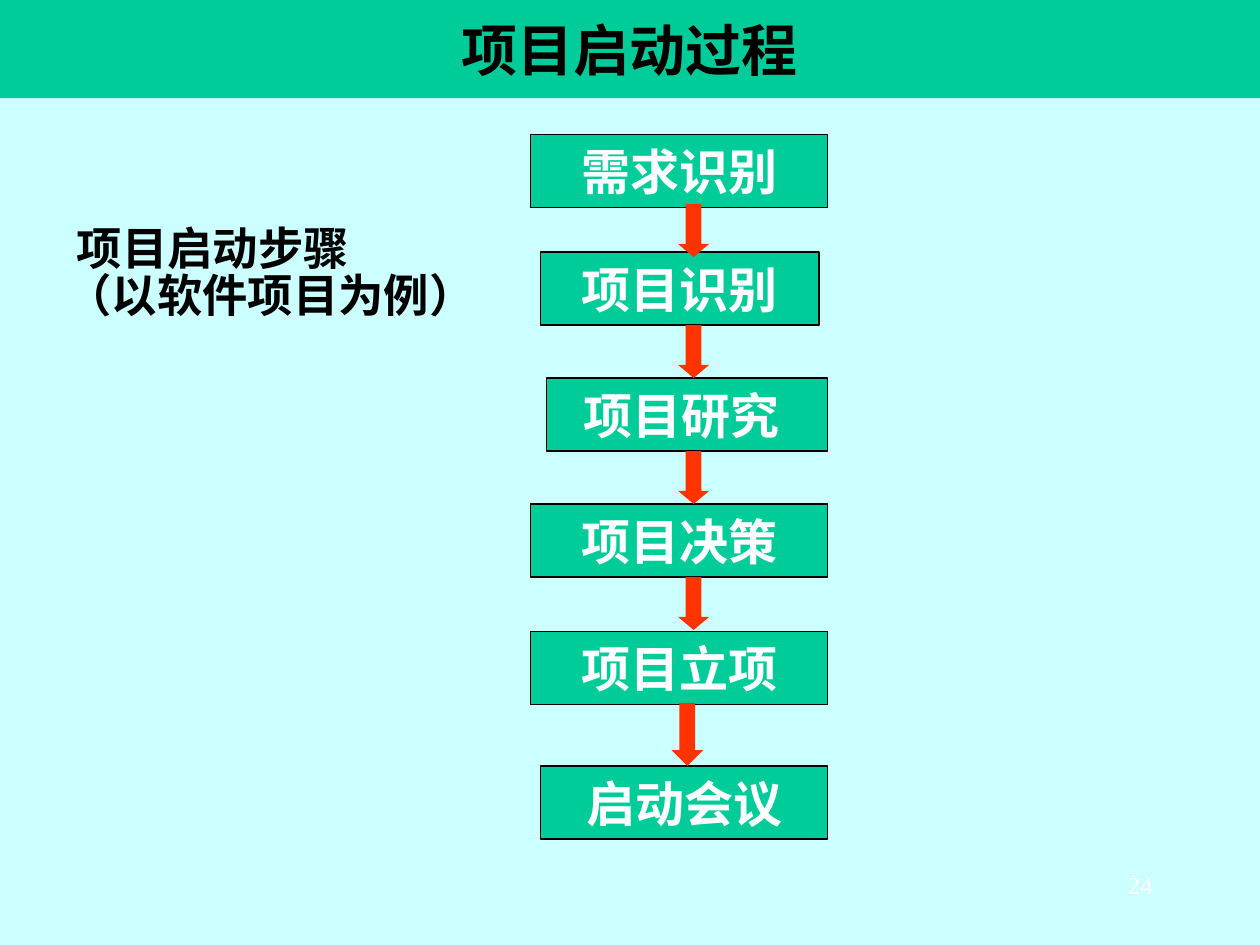
from pptx import Presentation
from pptx.dml.color import RGBColor
from pptx.enum import shapes, text
from pptx.oxml import parse_xml
from pptx.oxml.ns import nsdecls
from pptx.util import Inches, Pt

# Content
TITLE = "项目启动过程"
CAPTION = [" 项目启动步骤", "（以软件项目为例）"]
PAGE_NUMBER = "24"
STEPS = [  # label, left, top, width
    ("需求识别", 4.21, 1.07, 2.36),
    ("项目识别", 4.29, 2.00, 2.21),
    ("项目研究 ", 4.34, 3.00, 2.23),
    ("项目决策", 4.21, 4.00, 2.36),
    ("项目立项", 4.21, 5.01, 2.36),
    ("启动会议", 4.29, 6.08, 2.28),
]
ARROWS = [  # left, top, height
    (5.38, 1.62, 0.42),
    (5.38, 2.58, 0.42),
    (5.38, 3.58, 0.42),
    (5.38, 4.58, 0.42),
    (5.33, 5.58, 0.50),
]
STEP_HEIGHT, ARROW_WIDTH = 0.58, 0.25
CJK, SERIF = "Noto Sans CJK SC", "Times New Roman"
GREEN, RED, PALE, BLACK, WHITE = "00CC99", "FF3300", "CCFFFF", "000000", "FFFFFF"


def paint(fill, color):
    fill.solid()
    fill.fore_color.rgb = RGBColor.from_string(color)


def add_run(paragraph, words, size, font, color, bold=True):
    run = paragraph.add_run()
    run.text = words
    run.font.size, run.font.name, run.font.bold = Pt(size), font, bold
    run.font.color.rgb = RGBColor.from_string(color)
    run.font._element.get_or_add_latin().addnext(
        parse_xml(f'<a:ea {nsdecls("a")} typeface="{CJK}"/>'))


def place(shape, left, top, width, height):
    shape.left, shape.top = Inches(left), Inches(top)
    shape.width, shape.height = Inches(width), Inches(height)


def add_block(kind, left, top, width, height, color):
    block = slide.shapes.add_shape(
        kind, Inches(left), Inches(top), Inches(width), Inches(height))
    block.shadow.inherit = False
    paint(block.fill, color)
    return block


prs = Presentation()
prs.slide_width, prs.slide_height = Inches(10), Inches(7.5)
slide = prs.slides.add_slide(prs.slide_layouts[5])
paint(slide.background.fill, PALE)

# Title band
title = slide.shapes.title
place(title, 0, 0, 10, 0.78)
paint(title.fill, GREEN)
title.text_frame.vertical_anchor = text.MSO_ANCHOR.MIDDLE
heading = title.text_frame.paragraphs[0]
heading.alignment = text.PP_ALIGN.CENTER
add_run(heading, TITLE, 32, CJK, BLACK)

# Caption beside the flow
caption = slide.shapes.add_textbox(
    Inches(0.43), Inches(1.78), Inches(3.58), Inches(1.04)).text_frame
caption.word_wrap = True
for i, line in enumerate(CAPTION):
    paragraph = caption.add_paragraph() if i else caption.paragraphs[0]
    paragraph.line_spacing = 0.8
    paragraph.space_before = Pt(2)
    add_run(paragraph, line, 25.9, CJK, BLACK)

# Step boxes
for label, left, top, width in STEPS:
    step = add_block(shapes.MSO_SHAPE.RECTANGLE, left, top, width, STEP_HEIGHT, GREEN)
    paint(step.line.fill, BLACK)
    step.line.width = Pt(0.75)
    frame = step.text_frame
    frame.word_wrap = False
    frame.vertical_anchor = text.MSO_ANCHOR.MIDDLE
    paragraph = frame.paragraphs[0]
    paragraph.alignment = text.PP_ALIGN.CENTER
    paragraph.space_before = Pt(7)
    add_run(paragraph, label, 28, SERIF, WHITE)

# Arrows between steps
for left, top, height in ARROWS:
    arrow = add_block(shapes.MSO_SHAPE.DOWN_ARROW, left, top, ARROW_WIDTH, height, RED)
    arrow.line.fill.background()
    arrow.adjustments[0] = 0.5
    arrow.adjustments[1] = 0.5 if height == 0.5 else 0.42

# Page number
number = slide.shapes.add_textbox(
    Inches(8.55), Inches(6.84), Inches(1), Inches(0.36)).text_frame
number.word_wrap = True
number.vertical_anchor = text.MSO_ANCHOR.MIDDLE
number.paragraphs[0].alignment = text.PP_ALIGN.CENTER
add_run(number.paragraphs[0], PAGE_NUMBER, 14, SERIF, WHITE, bold=False)

prs.save("out.pptx")
